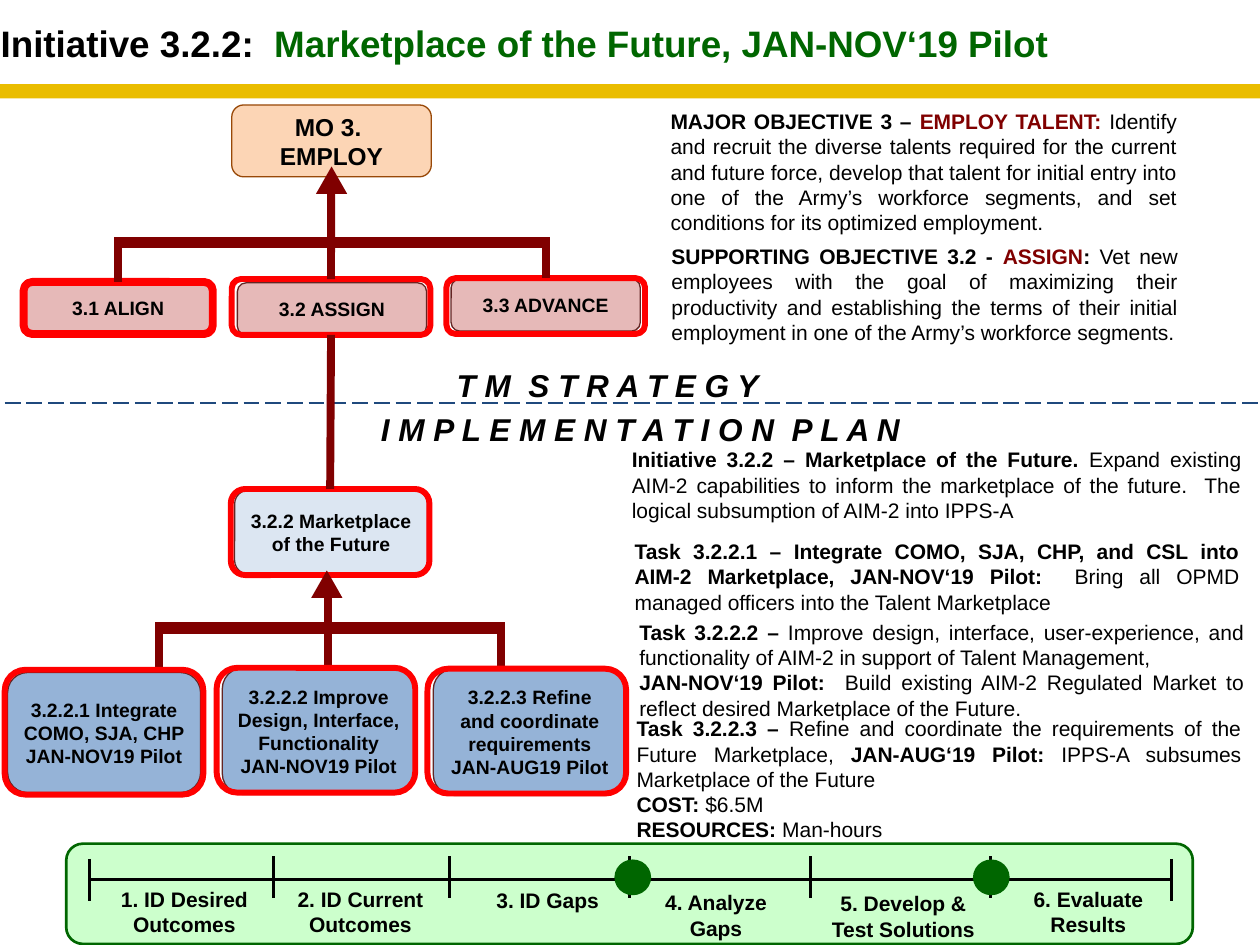
from lxml import etree
from pptx import Presentation, util as u
from pptx.dml import color
from pptx.enum import dml, shapes, text
from pptx.oxml import ns

BLACK, MAROON, GREEN, RED = "000000", "800000", "006600", "FF0000"
BROWN, PINK, BLUE = "632523", "E6B9B8", "95B3D7"
KIND = shapes.MSO_SHAPE
ALIGN = text.PP_ALIGN


def rgb(value):
    return color.RGBColor.from_string(value)


def points(*values):
    return [u.Pt(value) for value in values]


def style_run(run, size, bold=True, colour=BLACK, italic=False):
    font = run.font
    font.name, font.size = "Arial", u.Pt(size)
    font.bold, font.italic = bold, italic
    font.color.rgb = rgb(colour)


def add_runs(paragraph, size, parts):
    for content, bold, colour in parts:
        run = paragraph.add_run()
        run.text = content
        style_run(run, size, bold, colour)


def write_lines(frame, content, size, italic=False):
    frame.text = content
    for paragraph in frame.paragraphs:
        paragraph.alignment = ALIGN.CENTER
        for run in paragraph.runs:
            style_run(run, size, italic=italic)


def add_box(slide, kind, place, fill=None, line=None, width=1, label="", size=14.7):
    shape = slide.shapes.add_shape(kind, *points(*place))
    shape.shadow.inherit = False
    if fill:
        shape.fill.solid()
        shape.fill.fore_color.rgb = rgb(fill)
    else:
        shape.fill.background()
    if line:
        shape.line.color.rgb = rgb(line)
        shape.line.width = u.Pt(width)
    else:
        shape.line.fill.background()
    if label:
        shape.text_frame.word_wrap = True
        shape.text_frame.vertical_anchor = text.MSO_ANCHOR.MIDDLE
        write_lines(shape.text_frame, label, size)
    return shape


def add_framed_box(slide, place, frame, fill, label):
    add_box(slide, KIND.ROUNDED_RECTANGLE, place, fill, BROWN, 1, label)
    return add_box(slide, KIND.ROUNDED_RECTANGLE, frame, None, RED, 4.5)


def add_line(slide, start, end, colour, width, begin_shape=None, end_shape=None):
    line = slide.shapes.add_connector(shapes.MSO_CONNECTOR.STRAIGHT, *points(*start, *end))
    line.line.color.rgb = rgb(colour)
    line.line.width = u.Pt(width)
    etree.SubElement(line._element.spPr, ns.qn("a:effectLst"))
    if begin_shape is not None:
        line.begin_connect(begin_shape, 2)
    if end_shape is not None:
        line.end_connect(end_shape, 0)
    return line


def add_label(slide, place, content, size=16, italic=False, wrap=True):
    frame = slide.shapes.add_textbox(*points(*place)).text_frame
    frame.word_wrap = wrap
    write_lines(frame, content, size, italic)


def add_description(slide, place, *paragraphs):
    frame = slide.shapes.add_textbox(*points(*place)).text_frame
    frame.word_wrap = True
    frame.vertical_anchor = text.MSO_ANCHOR.MIDDLE
    for index, parts in enumerate(paragraphs):
        paragraph = frame.add_paragraph() if index else frame.paragraphs[0]
        paragraph.alignment = ALIGN.JUSTIFY
        add_runs(paragraph, 16, parts)


def add_title(slide):
    title = slide.shapes.title
    title.left, title.top, title.width, title.height = points(0, 12.2, 959, 41)
    frame = title.text_frame
    frame.word_wrap = True
    frame.auto_size = text.MSO_AUTO_SIZE.NONE
    frame.vertical_anchor = text.MSO_ANCHOR.TOP
    frame.margin_left, frame.margin_right = points(0.5, 0)
    frame.paragraphs[0].alignment = ALIGN.LEFT
    add_runs(frame.paragraphs[0], 28, [
        ("Initiative 3.2.2:  ", True, BLACK),
        ("Marketplace of the Future, JAN-NOV‘19 Pilot", True, GREEN)])


def add_objectives(slide):
    add_box(slide, KIND.ROUNDED_RECTANGLE, (176.4, 79.9, 151.9, 54.7), "FCD5B5", "984807", 1,
            "MO 3.  EMPLOY", 18.6)
    add_box(slide, KIND.RECTANGLE, (87.8, 180.7, 327.6, 7.9), MAROON, MAROON, 0.5)
    add_box(slide, KIND.ISOSCELES_TRIANGLE, (240.5, 126.7, 23.8, 20.9), MAROON)
    align = add_box(slide, KIND.ROUNDED_RECTANGLE, (18, 214.6, 144, 39.6), PINK, RED, 6, "3.1 ALIGN")
    assign = add_framed_box(slide, (180.7, 215.3, 144, 39.6), (176.4, 212.4, 151.2, 42.5),
                            PINK, "3.2 ASSIGN")
    advance = add_framed_box(slide, (343.4, 212.4, 144, 39.6), (339.8, 211.7, 151.2, 42.5),
                             PINK, "3.3 ADVANCE")
    for x, top, box in ((90, 180.7, align), (252, 138.2, assign), (415.4, 180.7, advance)):
        add_line(slide, (x, top), (x, 212), MAROON, 6, end_shape=box)
    return assign


def add_tasks(slide, assign):
    for x, top in ((121.3, 473.8), (249.5, 453.6), (381.6, 473.8)):
        add_line(slide, (x, top), (x, 512), MAROON, 6)
    add_box(slide, KIND.RECTANGLE, (118.8, 473.8, 263.5, 7.9), MAROON, MAROON, 0.5)
    marketplace = add_framed_box(slide, (178.6, 373, 146.9, 64.1), (175.7, 372.2, 151.2, 65.5),
                                 "DCE6F2", "3.2.2 Marketplace of the Future")
    add_line(slide, (252, 254.9), (251.3, 372.2), MAROON, 6, assign, marketplace)
    add_box(slide, KIND.ISOSCELES_TRIANGLE, (236.9, 434.2, 23.8, 20.9), MAROON)
    for left, top, height, frame_left, frame_top, label in (
            (5.8, 511.9, 91.4, 3.6, 509.8, "3.2.2.1 Integrate COMO, SJA, CHP\nJAN-NOV19 Pilot"),
            (169.2, 508.3, 96.5, 164.9, 508.3,
             "3.2.2.2 Improve Design, Interface, Functionality\nJAN-NOV19 Pilot"),
            (329.8, 509, 96.5, 325.4, 509,
             "3.2.2.3 Refine and coordinate requirements\nJAN-AUG19 Pilot")):
        add_framed_box(slide, (left, top, 146.9, height), (frame_left, frame_top, 151.2, 95),
                       BLUE, label)


def add_descriptions(slide):
    add_description(slide, (503.3, 78.5, 399.6, 104.4), [
        ("MAJOR OBJECTIVE 3 – ", True, BLACK), ("EMPLOY TALENT: ", True, MAROON),
        ("Identify and recruit the diverse talents required for the current and future force, "
         "develop that talent for initial entry into one of the Army’s workforce segments, "
         "and set conditions for its optimized employment.", False, BLACK)])
    add_description(slide, (504, 181.4, 399.6, 85), [
        ("SUPPORTING OBJECTIVE 3.2 - ", True, BLACK), ("ASSIGN", True, MAROON), (": ", True, BLACK),
        ("Vet new employees with the goal of maximizing their productivity and establishing the "
         "terms of their initial employment in one of the Army’s workforce segments.", False, BLACK)])
    add_description(slide, (473.8, 336.2, 478.1, 65.5), [
        ("Initiative 3.2.2 – Marketplace of the Future. ", True, BLACK),
        ("Expand existing AIM-2 capabilities to inform the marketplace of the future.  "
         "The logical subsumption of AIM-2 into IPPS-A", False, BLACK)])
    add_description(slide, (475.9, 406.1, 474.5, 65.5), [
        ("Task 3.2.2.1 – Integrate COMO, SJA, CHP, and CSL into AIM-2 Marketplace, "
         "JAN-NOV‘19 Pilot:  ", True, BLACK),
        ("Bring all OPMD managed officers into the Talent Marketplace", False, BLACK)])
    add_description(
        slide, (479.5, 467.3, 474.5, 85),
        [("Task 3.2.2.2 – ", True, BLACK),
         ("Improve design, interface, user-experience, and functionality of AIM-2 in support of "
          "Talent Management,", False, BLACK)],
        [("JAN-NOV‘19 Pilot:  ", True, BLACK),
         ("Build existing AIM-2 Regulated Market to reflect desired Marketplace of the Future.",
          False, BLACK)])
    add_description(
        slide, (477.4, 540.7, 474.5, 104.4),
        [("Task 3.2.2.3 – ", True, BLACK),
         ("Refine and coordinate the requirements of the Future Marketplace, ", False, BLACK),
         ("JAN-AUG‘19 Pilot: ", True, BLACK),
         ("IPPS-A subsumes Marketplace of the Future", False, BLACK)],
        [("COST: ", True, BLACK), ("$6.5M", False, BLACK)],
        [("RESOURCES: ", True, BLACK), ("Man-hours", False, BLACK)])


def add_timeline(slide):
    add_box(slide, KIND.ROUNDED_RECTANGLE, (50.4, 642.2, 857.5, 76.3), "CCFFCC", GREEN, 2)
    ticks = (68.4, 208.1, 342, 479.5, 617, 753.8, 891.4)
    add_line(slide, (ticks[0], 669.6), (ticks[-1], 669.6), BLACK, 2.25)
    for x in ticks:
        top = 653.8 if x in (ticks[0], ticks[-1]) else 651.6
        add_line(slide, (x, top), (x, top + 32), BLACK, 2.25)
    for left, top, width, label in (
            (80.6, 671, 119.5, "1. ID Desired Outcomes"),
            (214.6, 671, 119.5, "2. ID Current Outcomes"),
            (357.1, 671.8, 119.5, "3. ID Gaps"),
            (476.6, 673.9, 136.8, "4. Analyze\nGaps"),
            (619.2, 674.6, 136.8, "5. Develop & Test Solutions"),
            (753.1, 671, 150.5, "6. Evaluate\nResults")):
        add_label(slide, (left, top, width, 44), label)
    for left in (468.7, 741.6):
        add_box(slide, KIND.OVAL, (left, 655.2, 25.9, 25.2), GREEN, GREEN, 2)


def main():
    presentation = Presentation()
    presentation.slide_width, presentation.slide_height = points(959.04, 719.28)
    slide = presentation.slides.add_slide(presentation.slide_layouts[5])
    add_title(slide)
    add_box(slide, KIND.RECTANGLE, (0, 64.1, 959.04, 10.8), "EABD00")
    divider = add_line(slide, (3.6, 306.7), (959, 306.7), "1F497D", 1.5)
    divider.line.dash_style = dml.MSO_LINE.LONG_DASH
    add_label(slide, (339.8, 275, 245.5, 36), "T M  S T R A T E G Y", 24, True, False)
    add_label(slide, (281.5, 308.2, 411.8, 36), "I M P L E M E N T A T I O N  P L A N", 24, True, False)
    add_tasks(slide, add_objectives(slide))
    add_descriptions(slide)
    add_timeline(slide)
    presentation.save("out.pptx")


if __name__ == "__main__":
    main()
